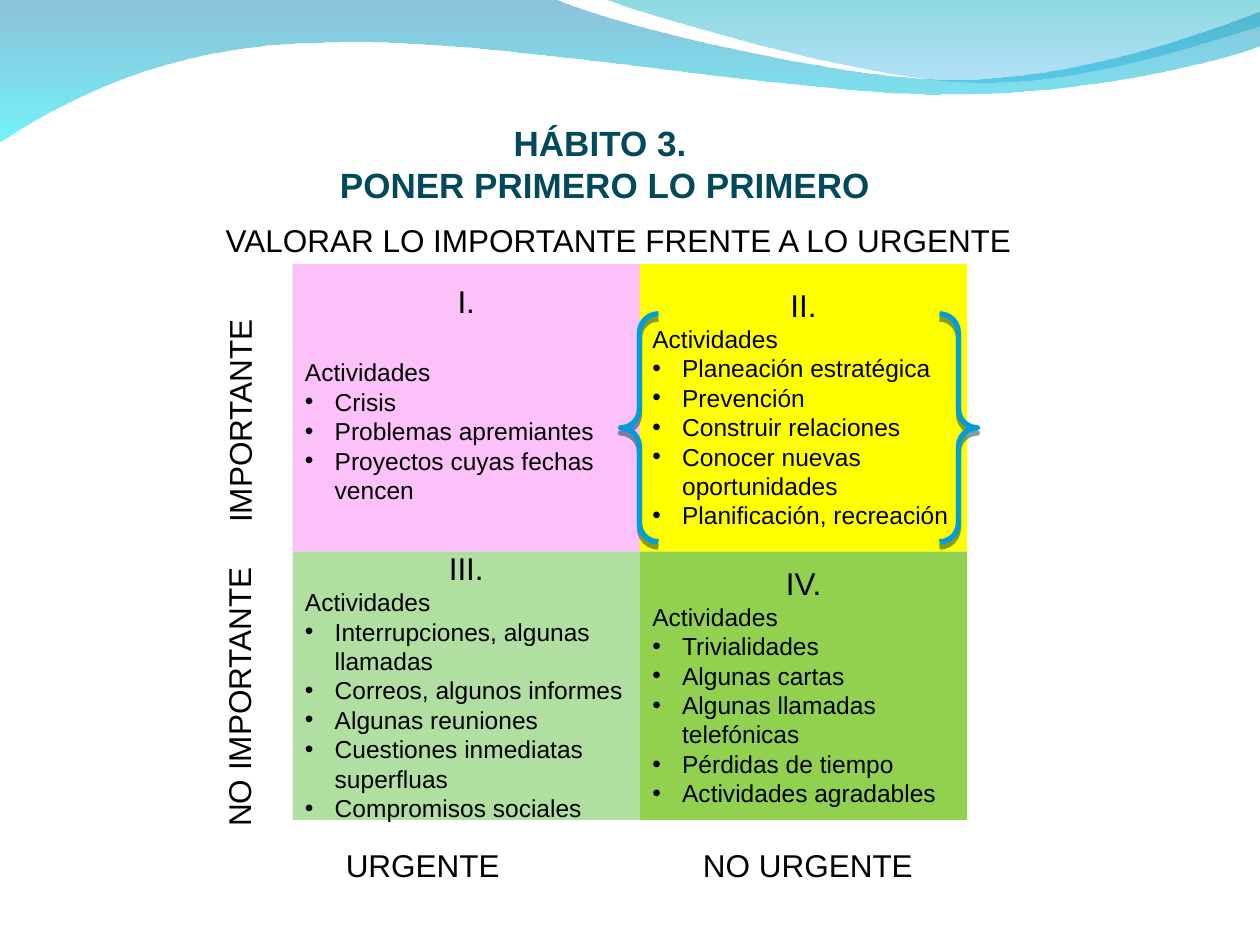
import dataclasses

import lxml.etree
import pptx
import pptx.dml.color
import pptx.enum.shapes
import pptx.enum.text
import pptx.oxml.ns
import pptx.util

Pt = pptx.util.Pt
ALIGN = pptx.enum.text.PP_ALIGN
ANCHOR = pptx.enum.text.MSO_ANCHOR
AUTO_SIZE = pptx.enum.text.MSO_AUTO_SIZE
SHAPE = pptx.enum.shapes.MSO_SHAPE
qn = pptx.oxml.ns.qn


def rgb(value):
    return pptx.dml.color.RGBColor.from_string(value)


@dataclasses.dataclass
class Theme:
    font: str = "Arial"
    title_size: int = 20
    label_size: int = 18
    body_size: int = 14
    text: str = "000000"
    title: str = "03495C"
    brace: str = "009DD9"
    shadow: str = "003148"
    quadrants: tuple = ("FBC1F8", "FFFF00", "B0DFA1", "92D050")
    # Each gradient stop is a colour and its opacity in percent
    back_wave: tuple = (("0079AF", 45), ("00EBF8", 55))
    front_wave: tuple = (("00ADB6", 45), ("009BE5", 30))


class SlideBuilder:
    def __init__(self, deck, theme):
        self.theme = theme
        self.slide = deck.slides.add_slide(deck.slide_layouts[5])

    def add_span(self, para, text, size, color=None, bold=False):
        span = para.add_run()
        span.text = text
        span.font.name = self.theme.font
        span.font.size = Pt(size)
        span.font.bold = bold
        span.font.color.rgb = rgb(color or self.theme.text)

    def add_bullet(self, para, indent=17):
        properties = para._p.get_or_add_pPr()
        properties.set("marL", str(Pt(indent)))
        properties.set("indent", str(-Pt(indent)))
        lxml.etree.SubElement(properties, qn("a:buFont")).set("typeface", self.theme.font)
        lxml.etree.SubElement(properties, qn("a:buChar")).set("char", "•")

    def wave(self, start, segments, stops):
        """Draw a filled outline; a segment is one line point or three Bézier points."""
        precision = 100
        points = [[value * precision for value in point]
                  for point in [start] + [point for segment in segments for point in segment]]
        outline = self.slide.shapes.build_freeform(*points[0], scale=Pt(1) / precision)
        outline.add_line_segments(points[1:], close=True)
        shape = outline.convert_to_shape()
        lines = iter(shape._element.findall(".//" + qn("a:lnTo")))
        for segment in segments:
            first, *others = [next(lines) for _ in segment]
            if others:
                first.tag = qn("a:cubicBezTo")
                for line in others:
                    first.append(line[0])
                    line.getparent().remove(line)
        shape.shadow.inherit = False
        shape.line.fill.background()
        shape.fill.gradient()
        shape.fill.gradient_angle = 270
        for stop, position, (color, opacity) in zip(shape.fill.gradient_stops, (0, 1), stops):
            stop.position = position
            stop.color.rgb = rgb(color)
            color_node = stop._gs.find(qn("a:srgbClr"))
            lxml.etree.SubElement(color_node, qn("a:alpha")).set("val", str(opacity * 1000))

    def title(self, lines, left, top, width, height):
        box = self.slide.shapes.title
        box.left, box.top, box.width, box.height = map(Pt, (left, top, width, height))
        frame = box.text_frame
        frame.word_wrap = True
        frame.auto_size = AUTO_SIZE.SHAPE_TO_FIT_TEXT
        frame.vertical_anchor = ANCHOR.TOP
        for index, line in enumerate(lines):
            para = frame.add_paragraph() if index else frame.paragraphs[0]
            para.alignment = ALIGN.CENTER
            self.add_span(para, line, self.theme.title_size, self.theme.title, bold=True)

    def label(self, text, left, top, width, height=28.8, rotation=0, wrap=False):
        box = self.slide.shapes.add_textbox(*map(Pt, (left, top, width, height)))
        box.rotation = rotation
        box.text_frame.word_wrap = wrap
        box.text_frame.auto_size = AUTO_SIZE.SHAPE_TO_FIT_TEXT
        self.add_span(box.text_frame.paragraphs[0], text, self.theme.label_size)

    def quadrant(self, numeral, items, color, bounds, gap=0, bottom_inset=3.6):
        """Draw one cell; gap separates the numeral from the list."""
        box = self.slide.shapes.add_shape(SHAPE.RECTANGLE, *map(Pt, bounds))
        box.shadow.inherit = False
        box.fill.solid()
        box.fill.fore_color.rgb = rgb(color)
        box.line.fill.background()
        frame = box.text_frame
        frame.word_wrap = True
        frame.vertical_anchor = ANCHOR.MIDDLE
        frame.margin_bottom = Pt(bottom_inset)
        heading = frame.paragraphs[0]
        heading.alignment = ALIGN.CENTER
        self.add_span(heading, numeral, self.theme.label_size)
        intro = frame.add_paragraph()
        intro.alignment = ALIGN.LEFT
        intro.space_before = Pt(gap)
        self.add_span(intro, "Actividades", self.theme.body_size)
        for item in items:
            para = frame.add_paragraph()
            para.alignment = ALIGN.LEFT
            self.add_bullet(para)
            self.add_span(para, item, self.theme.body_size)

    def brace_pair(self, left, top, width, height):
        brace = self.slide.shapes.add_shape(SHAPE.DOUBLE_BRACE, *map(Pt, (left, top, width, height)))
        brace.adjustments[0] = 0.083
        brace.fill.background()
        brace.line.color.rgb = rgb(self.theme.brace)
        brace.line.width = Pt(3)
        brace.shadow.inherit = False
        effects = brace._element.spPr.find(qn("a:effectLst"))
        shadow = lxml.etree.SubElement(effects, qn("a:outerShdw"), blurRad="0",
                                       dist=str(Pt(3)), dir="5400000", rotWithShape="0")
        color = lxml.etree.SubElement(shadow, qn("a:srgbClr"), val=self.theme.shadow)
        lxml.etree.SubElement(color, qn("a:alpha"), val="48000")


def main():
    deck = pptx.Presentation()
    deck.slide_width, deck.slide_height = Pt(720), Pt(540)
    theme = Theme()
    page = SlideBuilder(deck, theme)

    page.wave((0, -0.7), (
        ((316.8, -0.7),),
        ((342.7, 12.2), (478, 45.4), (545.8, 45.4)),
        ((614.2, 45.4), (689.8, 18.7), (720, 6.5)),
        ((720.7, 25.9),),
        ((707.8, 31.7), (626.4, 54.7), (537.1, 54)),
        ((447.8, 54), (275, 20.2), (185, 24.5)),
        ((92.9, 25.2), (33.1, 59.8), (-0.7, 81.4)),
    ), theme.back_wave)
    page.wave((344.9, -0.7), (
        ((366.5, 7.9), (491, 44.6), (553.7, 46.8)),
        ((616.3, 49.7), (691.9, 23), (720, 15.1)),
        ((720, 0),),
    ), theme.front_wave)

    columns = ((167.2, 198.5), (365.7, 187))
    rows = ((151, 164.3), (315.3, 153.3))
    cells = [(left, top, width, height) for top, height in rows for left, width in columns]
    quadrants = (
        ("I.", ("Crisis", "Problemas apremiantes", "Proyectos cuyas fechas vencen"), 21.5, 20.4),
        ("II.", ("Planeación estratégica", "Prevención", "Construir relaciones",
                 "Conocer nuevas oportunidades", "Planificación, recreación"), 0, 3.6),
        ("III.", ("Interrupciones, algunas llamadas", "Correos, algunos informes",
                  "Algunas reuniones", "Cuestiones inmediatas superfluas",
                  "Compromisos sociales"), 0, 3.6),
        ("IV.", ("Trivialidades", "Algunas cartas", "Algunas llamadas telefónicas",
                 "Pérdidas de tiempo", "Actividades agradables"), 0, 3.6),
    )
    for (numeral, items, gap, inset), color, bounds in zip(quadrants, theme.quadrants, cells):
        page.quadrant(numeral, items, color, bounds, gap, inset)

    page.label("IMPORTANTE", 70.6, 225.2, 132.5, rotation=270)
    page.label("NO IMPORTANTE", 54.3, 383, 164.2, rotation=270)
    page.label("URGENTE", 190.5, 479.8, 102.2)
    page.label("NO URGENTE", 394.6, 479.8, 134.2)
    page.title(("HÁBITO 3. ", "PONER PRIMERO LO PRIMERO"), 110.2, 65.8, 470.9, 55.4)
    page.label("VALORAR LO IMPORTANTE FRENTE A LO URGENTE", 121.9, 122.7, 475.9, wrap=True)
    page.brace_pair(354.6, 179.3, 203.9, 130.3)

    deck.save("out.pptx")


if __name__ == "__main__":
    main()
